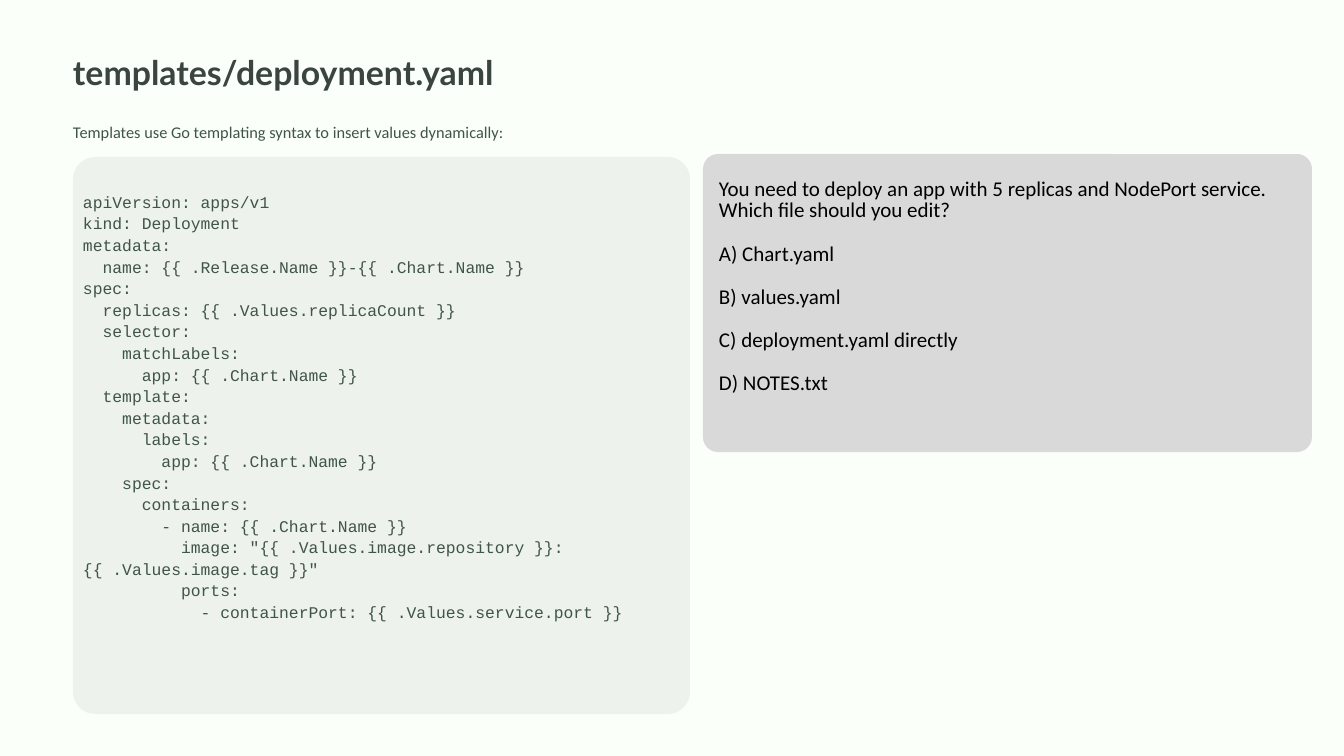
"""Build the slide on the deployment template with its quiz question."""
from dataclasses import dataclass

from pptx import Presentation
from pptx import util as u
from pptx.dml.color import RGBColor
from pptx.enum import shapes, text
from pptx.slide import Slide

PX = 914400 / 84
LEAD = 18.5
HUES = {
    "page": "FAFFFA",
    "title": "3B4540",
    "body": "405449",
    "code": "EDF2ED",
    "quiz": "D9D9D9",
    "ask": "000000",
}
CODE = """apiVersion: apps/v1
kind: Deployment
metadata:
  name: {{ .Release.Name }}-{{ .Chart.Name }}
spec:
  replicas: {{ .Values.replicaCount }}
  selector:
    matchLabels:
      app: {{ .Chart.Name }}
  template:
    metadata:
      labels:
        app: {{ .Chart.Name }}
    spec:
      containers:
        - name: {{ .Chart.Name }}
          image: "{{ .Values.image.repository }}:{{ .Values.image.tag }}"
          ports:
            - containerPort: {{ .Values.service.port }}"""
QUIZ = """You need to deploy an app with 5 replicas and NodePort service. Which file should you edit?
A) Chart.yaml
B) values.yaml
C) deployment.yaml directly
D) NOTES.txt"""


@dataclass
class Panel:
    box: tuple[int, int, int, int]
    hue: str
    curve: float


@dataclass
class Label:
    box: tuple[int, int, int, int]
    words: str
    font: str
    size: int
    hue: str
    lead: float = LEAD
    gap: float = 0
    inset: tuple[int, int] = (0, 0)
    bold: bool = False
    wrap: bool = True


PANELS = [
    Panel((73, 157, 617, 557), "code", 0.04),
    Panel((703, 154, 609, 298), "quiz", 0.05),
]
LABELS = [
    Label((73, 50, 491, 43), "templates/deployment.yaml", "Lato", 29, "title",
          lead=36.5, bold=True, wrap=False),
    Label((73, 120, 1199, 22),
          "Templates use Go templating syntax to insert values dynamically:",
          "Calibri", 14, "body", wrap=False),
    Label((83, 190, 604, 284), CODE, "Courier New", 14, "body"),
    Label((711, 175, 609, 277), QUIZ, "Calibri", 18, "ask",
          gap=LEAD, inset=(8, 4)),
]


def px(num: int) -> u.Emu:
    """Turn pixels into EMU."""
    return u.Emu(round(num * PX))


def tint(name: str) -> RGBColor:
    """Look up a named colour."""
    return RGBColor.from_string(HUES[name])


def draw_panel(slide: Slide, panel: Panel) -> None:
    """Draw a rounded panel."""
    shape = slide.shapes.add_shape(
        shapes.MSO_SHAPE.ROUNDED_RECTANGLE, *map(px, panel.box))
    shape.adjustments[0] = panel.curve
    shape.shadow.inherit = False
    shape.fill.solid()
    shape.fill.fore_color.rgb = tint(panel.hue)
    shape.line.fill.background()


def draw_label(slide: Slide, label: Label) -> None:
    """Draw a text box, one paragraph for each line."""
    frame = slide.shapes.add_textbox(*map(px, label.box)).text_frame
    frame.word_wrap = label.wrap
    frame.auto_size = text.MSO_AUTO_SIZE.NONE
    side, edge = map(px, label.inset)
    frame.margin_left = frame.margin_right = side
    frame.margin_top = frame.margin_bottom = edge
    frame.text = label.words
    for row, para in enumerate(frame.paragraphs):
        para.line_spacing = u.Pt(label.lead)
        if row and label.gap:
            para.space_before = u.Pt(label.gap)
        for run in para.runs:
            run.font.name = label.font
            run.font.size = u.Pt(label.size)
            run.font.bold = label.bold
            run.font.color.rgb = tint(label.hue)


def main() -> None:
    """Build and save the deck."""
    deck = Presentation()
    deck.slide_width, deck.slide_height = px(1344), px(756)
    slide = deck.slides.add_slide(deck.slide_layouts[6])
    slide.background.fill.solid()
    slide.background.fill.fore_color.rgb = tint("page")
    for panel in PANELS:
        draw_panel(slide, panel)
    for label in LABELS:
        draw_label(slide, label)
    deck.save("out.pptx")


if __name__ == "__main__":
    main()
